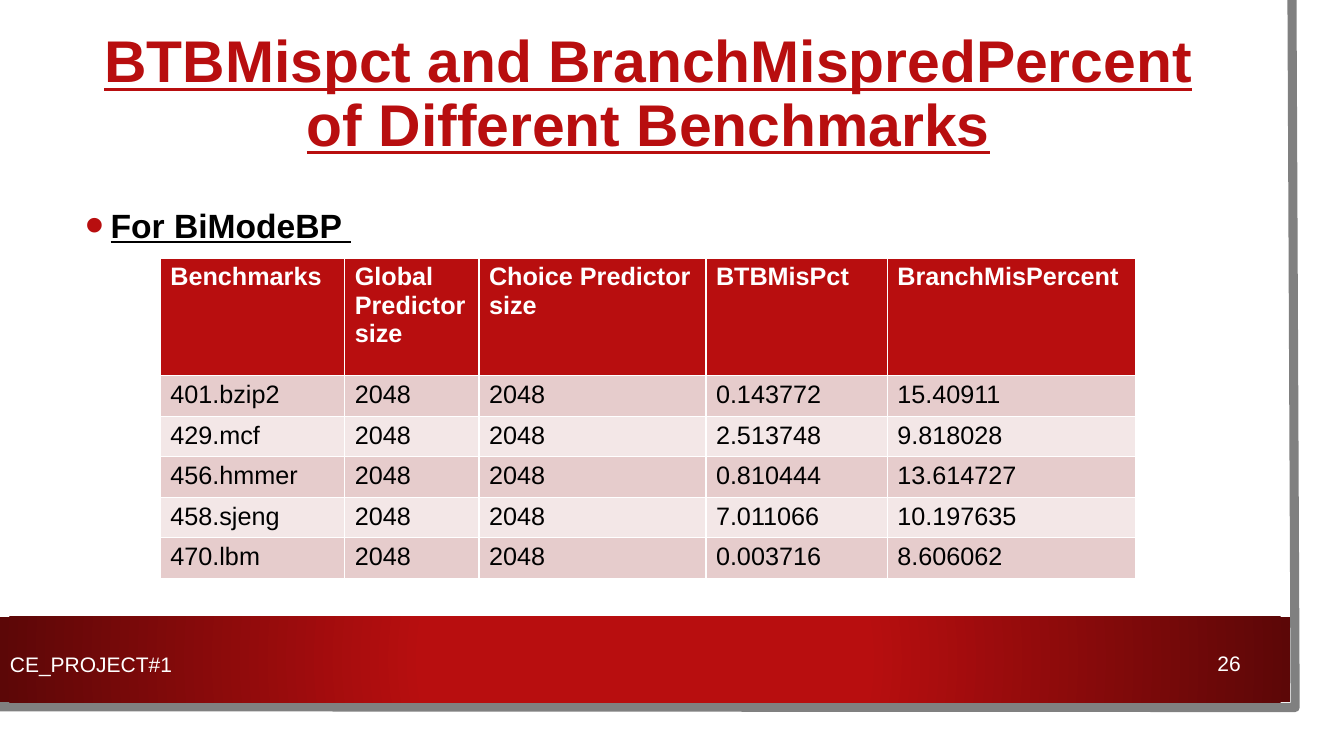
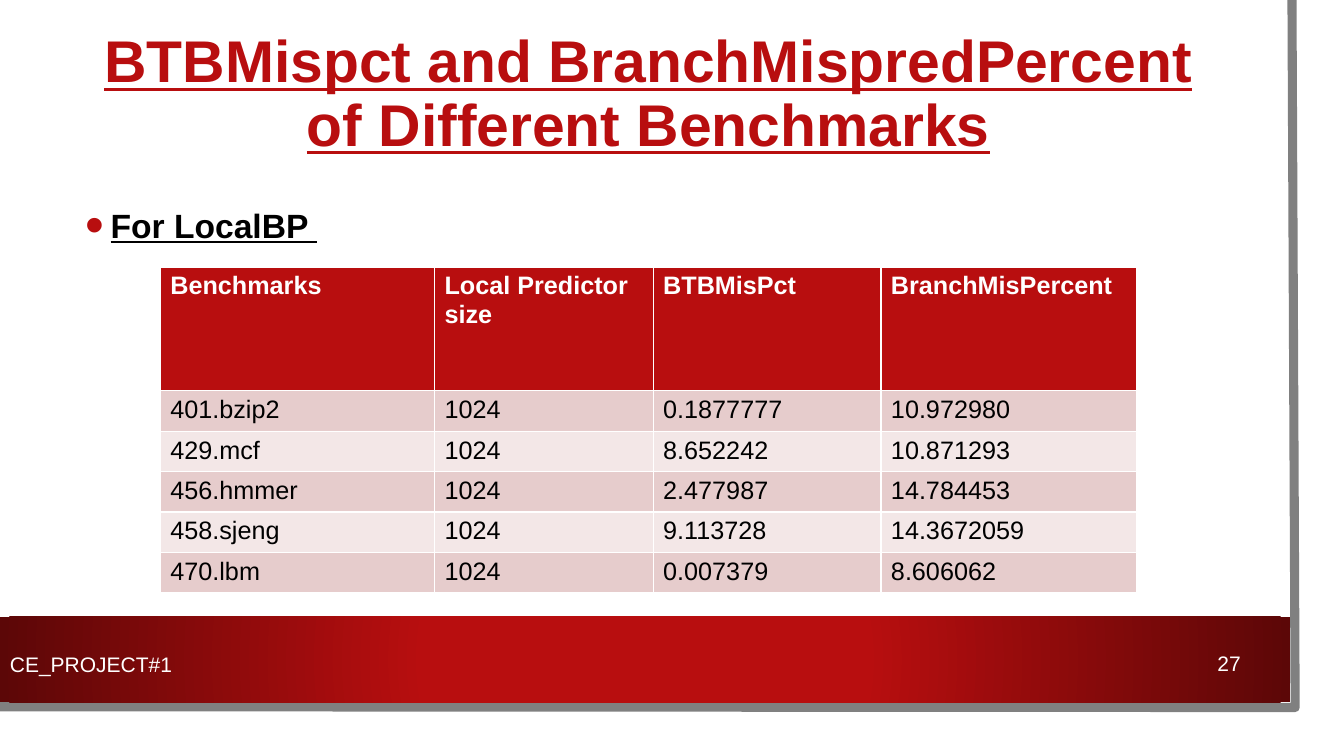
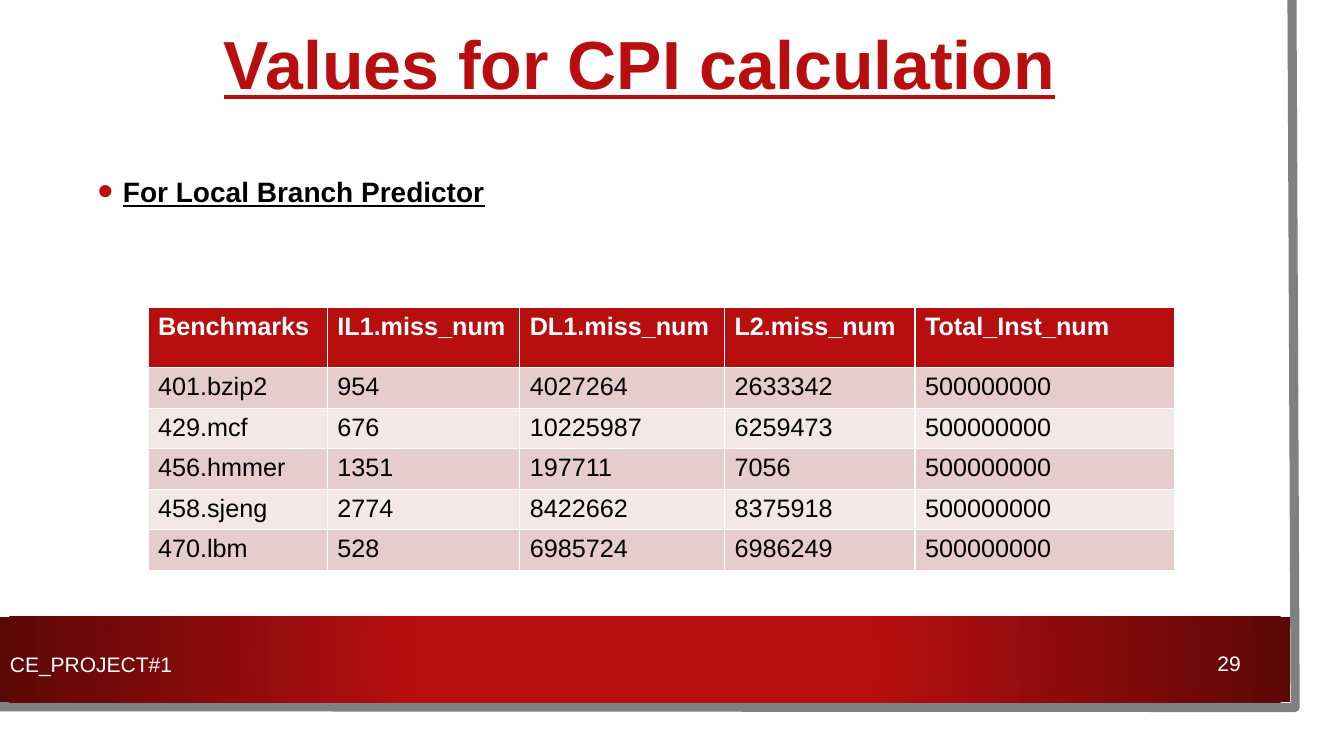
from lxml import etree
from pptx import Presentation
from pptx.dml.color import RGBColor
from pptx.enum.shapes import MSO_SHAPE
from pptx.enum.text import MSO_ANCHOR, MSO_AUTO_SIZE, PP_ALIGN
from pptx.oxml.ns import qn
from pptx.util import Cm, Pt

RECT = MSO_SHAPE.RECTANGLE
MIDDLE = MSO_ANCHOR.MIDDLE
NO_FIT = MSO_AUTO_SIZE.NONE
LEFT, CENTER = PP_ALIGN.LEFT, PP_ALIGN.CENTER

RED, DARK_RED, GREY = "B80E0F", "5C0707", "808080"
WHITE, BLACK = "FFFFFF", "000000"
ROW_FILLS = ("E6CCCC", "F3E7E7")
FONT = "Arial"
FOOTER = "CE_PROJECT#1"
MISPREDICT_TITLE = "BTBMispct and BranchMispredPercent of Different Benchmarks"
BENCHMARKS = ("401.bzip2", "429.mcf", "456.hmmer", "458.sjeng", "470.lbm")


def rgb(value):
    return RGBColor.from_string(value)


class Deck:
    def __init__(self):
        self.prs = Presentation()
        self.prs.slide_width, self.prs.slide_height = Cm(33.87), Cm(19.05)
        self.layout = self.prs.slide_layouts[5]
        self.s = None

    def slide(self, number):
        first = self.s is None
        self.s = self.prs.slides.add_slide(self.layout)
        if first:
            for sp in (self.page_edge(), self.band()):
                self.layout.shapes.element.append(sp.element)
        self.text(str(number), (29.36, 16.21, 3.23, 1.02), 15, WHITE, align=CENTER)
        self.text(FOOTER, (0, 16.03, 15.27, 1.4), 15, WHITE)

    def page_edge(self):
        fb = self.s.shapes.build_freeform(Cm(32.56), 0)
        fb.add_line_segments([(Cm(32.64), Cm(17.83)), (Cm(-0.08), Cm(17.81))], close=False)
        sp = fb.convert_to_shape()
        sp.shadow.inherit = False
        sp.fill.background()
        sp.line.color.rgb = rgb(GREY)
        sp.line.width = Pt(6.5)
        return sp

    def band(self):
        sp = self.s.shapes.add_shape(RECT, 0, Cm(15.54), Cm(32.51), Cm(2.16))
        sp.shadow.inherit = False
        sp.line.fill.background()
        sp.fill.gradient()
        for stop, color, position in zip(sp.fill.gradient_stops, (RED, DARK_RED), (0.34, 1)):
            stop.color.rgb = rgb(color)
            stop.position = position
        grad = sp.element.spPr.find(qn("a:gradFill"))
        radial = etree.Element(qn("a:path"), path="circle")
        etree.SubElement(radial, qn("a:fillToRect"), l="50000", t="50000", r="50000", b="50000")
        grad.replace(grad.find(qn("a:lin")), radial)
        return sp

    def style(self, p, size, color, bold=False, underline=False):
        for r in p.runs:
            r.font.name = FONT
            r.font.size = Pt(size)
            r.font.bold = bold
            r.font.underline = underline
            r.font.color.rgb = rgb(color)

    def text(self, text, box, size, color, align=LEFT, **look):
        sp = self.s.shapes.add_textbox(*map(Cm, box))
        tf = sp.text_frame
        tf.word_wrap = True
        tf.vertical_anchor = MIDDLE
        p = tf.paragraphs[0]
        p.text = text
        p.alignment = align
        self.style(p, size, color, **look)
        return p

    def title(self, text, box, size):
        sp = self.s.shapes.title
        sp.left, sp.top, sp.width, sp.height = map(Cm, box)
        tf = sp.text_frame
        tf.text = text
        tf.word_wrap = True
        tf.auto_size = NO_FIT
        tf.vertical_anchor = MIDDLE
        p = tf.paragraphs[0]
        p.alignment = CENTER
        p.line_spacing = 0.9
        self.style(p, size, RED, bold=True, underline=True)

    def bullet(self, text, box, size):
        p = self.text(text, box, size, BLACK, bold=True, underline=True)
        p.line_spacing = 1.2
        pPr = p._p.get_or_add_pPr()
        pPr.set("marL", str(Cm(0.64)))
        pPr.set("indent", str(Cm(-0.64)))
        color = etree.SubElement(pPr, qn("a:buClr"))
        etree.SubElement(color, qn("a:srgbClr"), val=RED)
        etree.SubElement(pPr, qn("a:buSzPct"), val="160000")
        etree.SubElement(pPr, qn("a:buFont"), typeface=FONT)
        etree.SubElement(pPr, qn("a:buChar"), char="•")

    def table(self, left, top, widths, header_height, row_height, header, values):
        rows = [header] + [(name, *row) for name, row in zip(BENCHMARKS, values)]
        heights = [header_height] + [row_height] * len(BENCHMARKS)
        frame = self.s.shapes.add_table(len(rows), len(widths), Cm(left), Cm(top),
                                        Cm(sum(widths)), Cm(sum(heights)))
        table = frame.table
        for column, width in zip(table.columns, widths):
            column.width = Cm(width)
        for i, (row, height) in enumerate(zip(rows, heights)):
            table.rows[i].height = Cm(height)
            is_header = i == 0
            for j, value in enumerate(row):
                cell = table.cell(i, j)
                cell.fill.solid()
                cell.fill.fore_color.rgb = rgb(RED if is_header else ROW_FILLS[(i - 1) % 2])
                p = cell.text_frame.paragraphs[0]
                p.text = value
                self.style(p, 18, WHITE if is_header else BLACK, bold=is_header)


def main():
    deck = Deck()
    title_box = (1.9, 0.81, 28.88, 3.2)
    bullet_box = (1.9, 4.65, 28.88, 1.83)

    deck.slide(26)
    deck.title(MISPREDICT_TITLE, title_box, 42)
    deck.bullet("For BiModeBP ", bullet_box, 24)
    deck.table(
        4.04, 6.5, (4.65, 3.38, 5.72, 4.57, 6.27), 2.97, 1.02,
        ("Benchmarks", "Global Predictor size", "Choice Predictor size",
         "BTBMisPct", "BranchMisPercent"),
        [("2048", "2048", "0.143772", "15.40911"),
         ("2048", "2048", "2.513748", "9.818028"),
         ("2048", "2048", "0.810444", "13.614727"),
         ("2048", "2048", "7.011066", "10.197635"),
         ("2048", "2048", "0.003716", "8.606062")])

    deck.slide(27)
    deck.title(MISPREDICT_TITLE, title_box, 42)
    deck.bullet("For LocalBP ", bullet_box, 24)
    deck.table(
        4.04, 6.73, (6.91, 5.51, 5.74, 6.45), 3.12, 0.98,
        ("Benchmarks", "Local Predictor size", "BTBMisPct", "BranchMisPercent"),
        [("1024", "0.1877777", "10.972980"),
         ("1024", "8.652242", "10.871293"),
         ("1024", "2.477987", "14.784453"),
         ("1024", "9.113728", "14.3672059"),
         ("1024", "0.007379", "8.606062")])

    deck.slide(29)
    deck.title("Values for CPI calculation", (1.68, 0.76, 28.88, 1.88), 48.6)
    deck.bullet("For Local Branch Predictor", (2.21, 3.43, 28.88, 2.62), 20)
    deck.table(
        3.73, 7.75, (4.52, 4.85, 5.16, 4.8, 6.55), 1.52, 1.02,
        ("Benchmarks", "IL1.miss_num", "DL1.miss_num", "L2.miss_num", "Total_Inst_num"),
        [("954", "4027264", "2633342", "500000000"),
         ("676", "10225987", "6259473", "500000000"),
         ("1351", "197711", "7056", "500000000"),
         ("2774", "8422662", "8375918", "500000000"),
         ("528", "6985724", "6986249", "500000000")])

    deck.prs.save("out.pptx")


if __name__ == "__main__":
    main()
